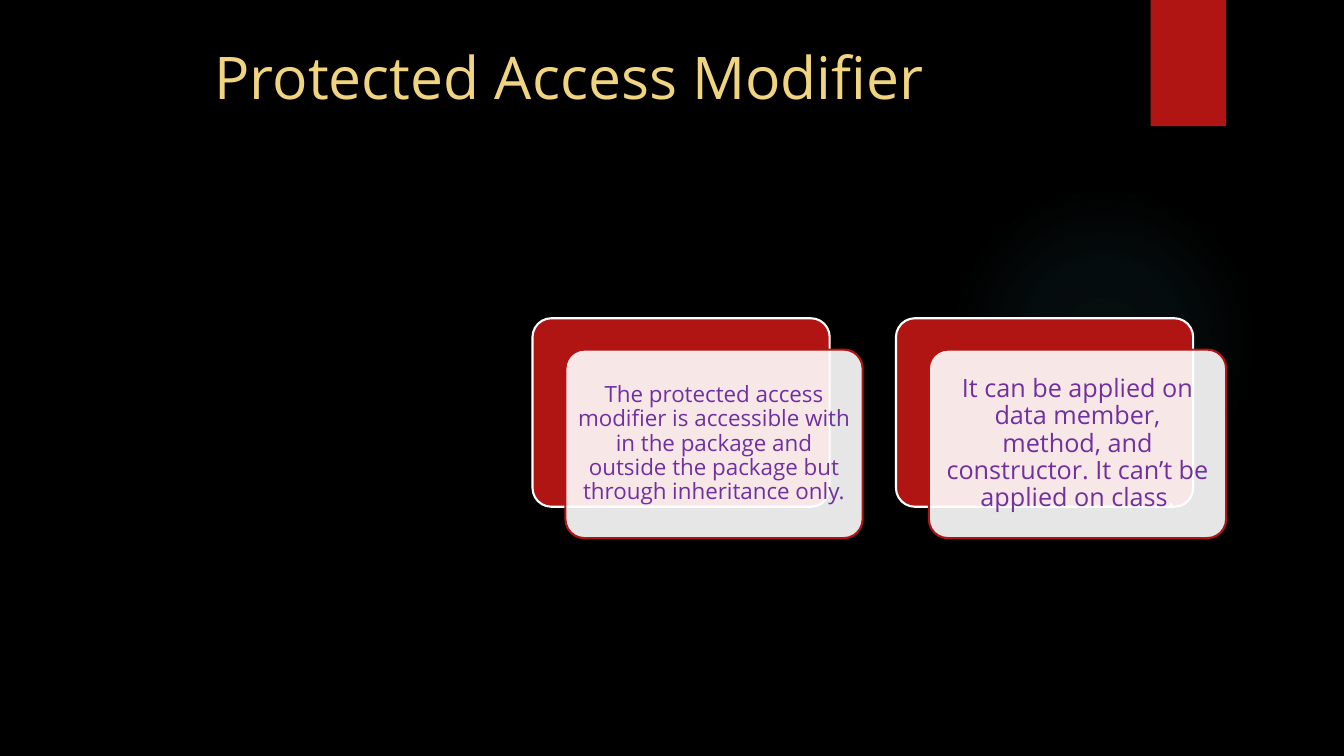
from lxml.etree import SubElement
from pptx import Presentation
from pptx.dml.color import RGBColor
from pptx.enum.shapes import MSO_SHAPE
from pptx.enum.text import MSO_ANCHOR, PP_ALIGN
from pptx.oxml import parse_xml
from pptx.oxml.ns import nsdecls, qn
from pptx.util import Cm, Pt

COLORS = {
    "background": "000000",
    "glow": "50B9C1",
    "red": "B01513",
    "white": "FFFFFF",
    "title": "F0D47F",
    "body": "7030A0",
}
FONT = "Open Sans"
# Text size, side margin and runs of each card
CARDS = [
    (16, 0.14, [("The protected access modifier is accessible with in the package and "
                 "outside the package but through inheritance only.", "body")]),
    (18, 0.25, [("It can be applied on data member, method, and constructor. "
                 "It can’t be applied on class", "body"), (".", "white")]),
]


def color(name):
    return RGBColor.from_string(COLORS[name])


def set_values(target, values):
    for name, value in values.items():
        setattr(target, name, value)


def add_block(slide, kind, box, fill=None, line=None, opacity=100):
    """Add a preset shape; fill and line are colour names, opacity a percentage."""
    shape = slide.shapes.add_shape(kind, *map(Cm, box))
    shape.shadow.inherit = False
    if fill:
        shape.fill.solid()
        shape.fill.fore_color.rgb = color(fill)
        if opacity < 100:
            rgb = shape.fill._xPr.find(qn("a:solidFill"))[0]
            SubElement(rgb, qn("a:alpha"), val=str(opacity * 1000))
    if line:
        shape.line.color.rgb = color(line)
        shape.line.width = Pt(1.5)
    else:
        shape.line.fill.background()
    return shape


def write_text(frame, runs, size, frame_format, paragraph_format):
    set_values(frame, {"word_wrap": True, **frame_format})
    paragraph = frame.paragraphs[0]
    set_values(paragraph, paragraph_format)
    for text, color_name in runs:
        run = paragraph.add_run()
        run.text = text
        set_values(run.font, {"name": FONT, "size": Pt(size)})
        run.font.color.rgb = color(color_name)


def add_glow(slide, box):
    """Add a circle that fades out from its centre."""
    glow = add_block(slide, MSO_SHAPE.OVAL, box)
    stops = "".join(
        f'<a:gs pos="{position * 1000}"><a:srgbClr val="{COLORS["glow"]}">'
        f'<a:alpha val="{opacity * 1000}"/></a:srgbClr></a:gs>'
        for position, opacity in [(0, 7), (36, 6), (69, 0)])
    gradient = parse_xml(
        f'<a:gradFill {nsdecls("a")}><a:gsLst>{stops}</a:gsLst><a:path path="circle">'
        '<a:fillToRect l="50000" t="50000" r="50000" b="50000"/></a:path></a:gradFill>')
    glow._element.spPr.find(qn("a:prstGeom")).addnext(gradient)


def add_title(slide, box, text):
    title = slide.shapes.add_textbox(*map(Cm, box))
    write_text(title.text_frame, [(text, "title")], 42,
               {"vertical_anchor": MSO_ANCHOR.TOP}, {"alignment": PP_ALIGN.RIGHT})


def add_card(slide, box, size, margin, runs):
    """Add a red panel with a translucent text panel offset in front of it."""
    left, top, width, height = box
    front_box = (left + 0.83, top + 0.79, width, height)
    back = add_block(slide, MSO_SHAPE.ROUNDED_RECTANGLE, box, "red", "white")
    front = add_block(slide, MSO_SHAPE.ROUNDED_RECTANGLE, front_box, "white", "red", 90)
    for panel in (back, front):
        panel.adjustments[0] = 0.1
    write_text(front.text_frame, runs, size,
               {"vertical_anchor": MSO_ANCHOR.MIDDLE,
                "margin_left": Cm(margin), "margin_right": Cm(margin),
                "margin_top": Cm(0.18), "margin_bottom": Cm(0.18)},
               {"alignment": PP_ALIGN.CENTER, "line_spacing": 0.9})


def add_cards(slide, left, top):
    for index, card in enumerate(CARDS):
        add_card(slide, (left + index * 9.16, top, 7.49, 4.75), *card)


def main():
    presentation = Presentation()
    set_values(presentation, {"slide_width": Cm(33.87), "slide_height": Cm(19.05)})
    slide = presentation.slides.add_slide(presentation.slide_layouts[6])
    slide.background.fill.solid()
    slide.background.fill.fore_color.rgb = color("background")
    add_glow(slide, (23.9, 4.65, 7.82, 7.82))
    add_block(slide, MSO_SHAPE.RECTANGLE, (29, 0, 1.9, 3.18), "red")
    add_title(slide, (1.53, 0.89, 22, 12.42), "Protected Access Modifier")
    add_cards(slide, 13.42, 8.02)
    presentation.save("out.pptx")


if __name__ == "__main__":
    main()
